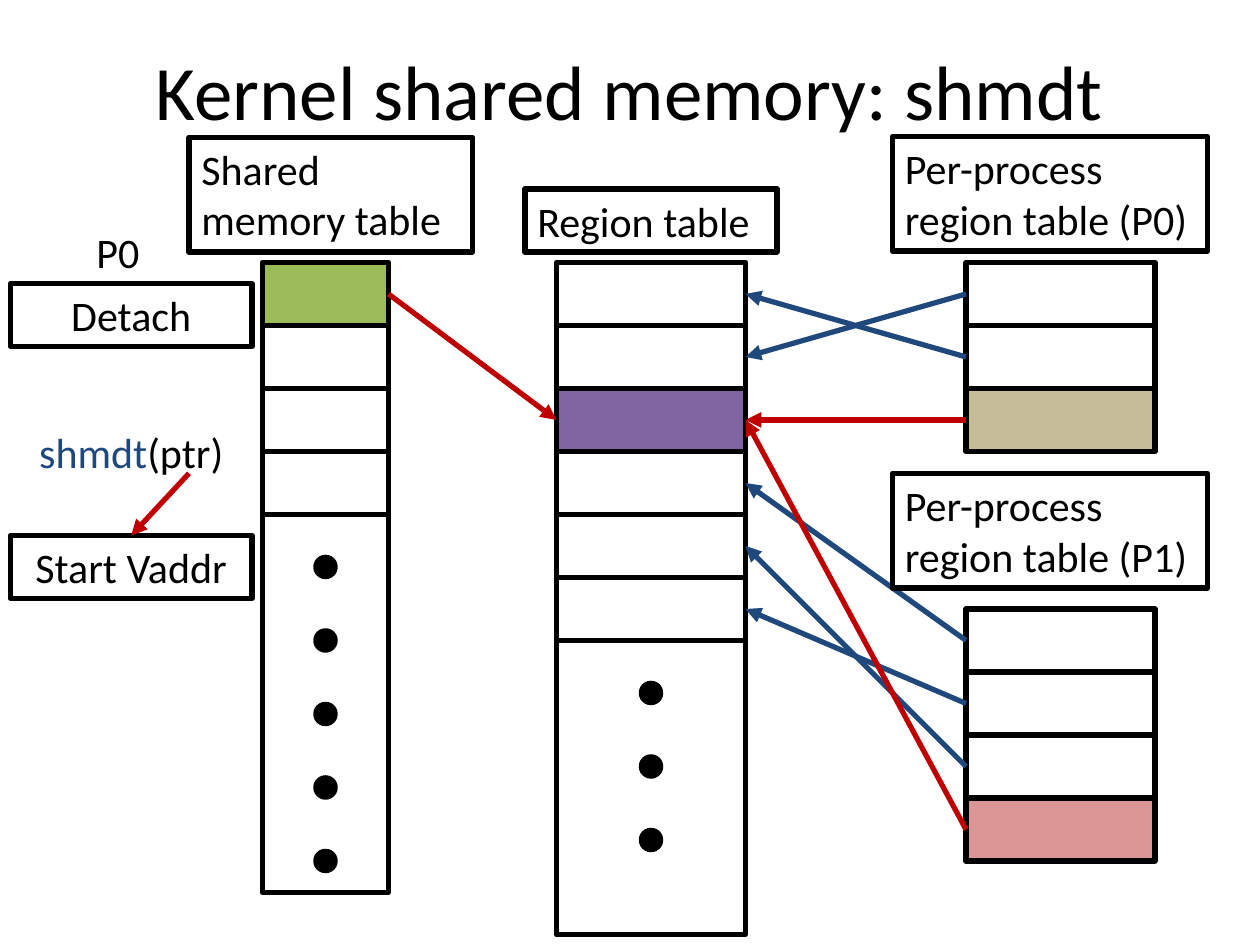
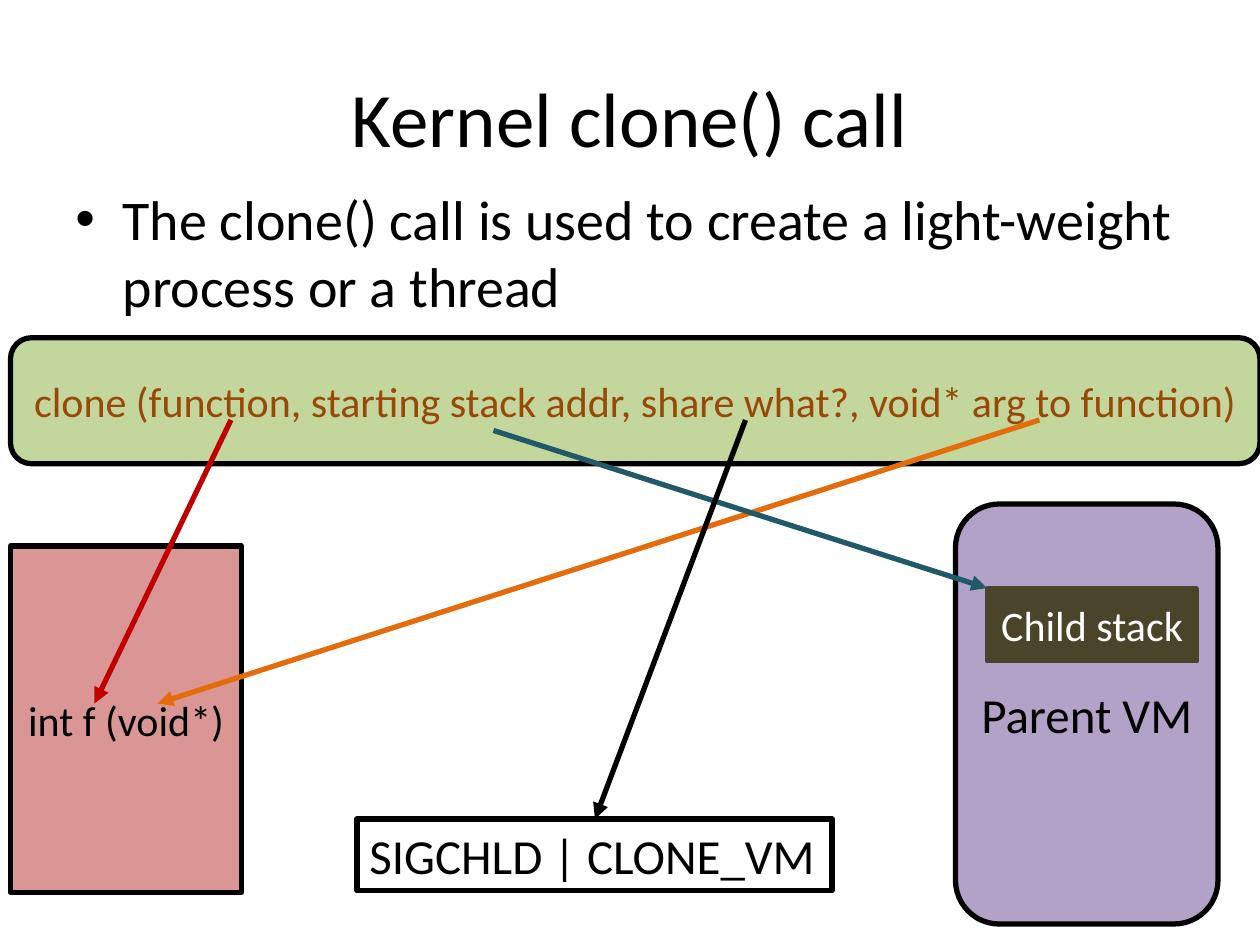
from dataclasses import dataclass
from typing import NamedTuple, Optional

from lxml.etree import SubElement
from pptx import Presentation
from pptx.dml.color import RGBColor
from pptx.enum.shapes import MSO_CONNECTOR, MSO_SHAPE as Kind
from pptx.enum.text import MSO_ANCHOR as Anchor, PP_ALIGN as Align
from pptx.oxml.ns import qn
from pptx.util import Pt


@dataclass(frozen=True)
class Theme:
    font: str = "Calibri"
    title_size: int = 44
    body_size: int = 32
    large_size: int = 28
    label_size: int = 24
    outline: int = 3
    thin_outline: int = 2
    black: str = "000000"
    white: str = "FFFFFF"
    red: str = "C00000"
    blue: str = "1F497D"
    orange: str = "E46C0A"
    teal: str = "215968"
    green: str = "9BBB59"
    pale_green: str = "C3D69B"
    purple: str = "8064A2"
    lilac: str = "B3A2C7"
    tan: str = "C4BD97"
    pink: str = "D99694"
    brown: str = "984807"
    olive: str = "4A452A"


THEME = Theme()
ROW_HEIGHT = 36
DOT_SIZE = 12
DOT_STEP = 42


class Frame(NamedTuple):
    left: float
    top: float
    width: float
    height: float


class Span(NamedTuple):
    text: str
    colour: str = THEME.black


class Arrow(NamedTuple):
    start: tuple[float, float]
    end: tuple[float, float]
    colour: str


class Label(NamedTuple):
    frame: Frame
    text: str
    align: Align = Align.LEFT


@dataclass(frozen=True)
class MemoryTable:
    """Stacked rows, optionally followed by a tall cell that holds dots."""
    left: float
    top: float
    width: float
    rows: int
    marked_row: int
    marked_fill: str
    tail_height: float = 0
    dots: int = 0

    @property
    def right(self) -> float:
        return self.left + self.width

    def row_top(self, row: int) -> float:
        return self.top + row * ROW_HEIGHT

    def row_middle(self, row: int) -> float:
        return self.row_top(row) + ROW_HEIGHT / 2


def rgb(colour: str) -> RGBColor:
    return RGBColor.from_string(colour)


def add_box(page, frame: Frame, *, kind: Kind = Kind.RECTANGLE, fill: Optional[str] = None,
            line: str = THEME.black, weight: float = THEME.outline):
    box = page.shapes.add_shape(kind, *map(Pt, frame))
    box.shadow.inherit = False
    if fill:
        box.fill.solid()
        box.fill.fore_color.rgb = rgb(fill)
    else:
        box.fill.background()
    box.line.color.rgb = rgb(line)
    box.line.width = Pt(weight)
    return box


def add_text_area(page, frame: Frame):
    return page.shapes.add_textbox(*map(Pt, frame))


def write(box, *spans: Span, size: float = THEME.label_size, align: Align = Align.LEFT,
          anchor: Anchor = Anchor.TOP, wrap: bool = True, bullet: bool = False) -> None:
    box.text_frame.word_wrap = wrap
    box.text_frame.vertical_anchor = anchor
    para = box.text_frame.paragraphs[0]
    para.alignment = align
    if bullet:
        add_bullet(para, 27)
    for span in spans:
        run = para.add_run()
        run.text = span.text
        run.font.name = THEME.font
        run.font.size = Pt(size)
        run.font.color.rgb = rgb(span.colour)


def add_bullet(para, indent: float) -> None:
    properties = para._p.get_or_add_pPr()
    properties.set("marL", str(Pt(indent)))
    properties.set("indent", str(-Pt(indent)))
    SubElement(properties, qn("a:buFont")).set("typeface", "Arial")
    SubElement(properties, qn("a:buChar")).set("char", "•")


def add_arrow(page, arrow: Arrow) -> None:
    link = page.shapes.add_connector(
        MSO_CONNECTOR.STRAIGHT, *map(Pt, (*arrow.start, *arrow.end)))
    link.line.color.rgb = rgb(arrow.colour)
    link.line.width = Pt(THEME.outline)
    SubElement(link.line._get_or_add_ln(), qn("a:tailEnd")).set("type", "triangle")
    SubElement(link._element.spPr, qn("a:effectLst"))


def add_title(page, text: str, top: float) -> None:
    write(add_text_area(page, Frame(36, top, 648, 90)), Span(text),
          size=THEME.title_size, align=Align.CENTER, anchor=Anchor.MIDDLE)


def add_memory_table(page, table: MemoryTable) -> None:
    tail_top = table.row_top(table.rows)
    if table.tail_height:
        add_box(page, Frame(table.left, tail_top, table.width, table.tail_height),
                fill=THEME.white)
    # The marked row goes last so that its outline stays whole.
    for row in sorted(range(table.rows), key=lambda row: row == table.marked_row):
        add_box(page, Frame(table.left, table.row_top(row), table.width, ROW_HEIGHT),
                fill=table.marked_fill if row == table.marked_row else THEME.white)
    dot_left = table.left + (table.width - DOT_SIZE) / 2
    for dot in range(table.dots):
        add_box(page, Frame(dot_left, tail_top + 24 + dot * DOT_STEP, DOT_SIZE, DOT_SIZE),
                kind=Kind.OVAL, fill=THEME.black, weight=THEME.thin_outline)


def build_shmdt_slide(page) -> None:
    add_title(page, "Kernel shared memory: shmdt", 6)

    shared = MemoryTable(150, 150, 72, 4, 0, THEME.green, tail_height=216, dots=5)
    regions = MemoryTable(318, 150, 108, 6, 2, THEME.purple, tail_height=168, dots=3)
    process_0 = MemoryTable(552, 150, 108, 3, 2, THEME.tan)
    process_1 = MemoryTable(552, 348, 108, 4, 3, THEME.pink)
    for table in (shared, regions, process_0, process_1):
        add_memory_table(page, table)

    # The row of each process table, and the region row it refers to.
    references = {process_0: ((0, 1), (1, 0), (2, 2)),
                  process_1: ((0, 3), (1, 5), (2, 4), (3, 2))}
    for table, pairs in references.items():
        for row, region in pairs:
            colour = THEME.red if region == regions.marked_row else THEME.blue
            add_arrow(page, Arrow((table.left, table.row_middle(row)),
                                  (regions.right, regions.row_middle(region)), colour))
    add_arrow(page, Arrow((shared.right, shared.row_middle(0)),
                          (regions.left, regions.row_middle(2)), THEME.red))

    labels = (
        Label(Frame(108, 78.5, 162, 65.5), "Shared memory table"),
        Label(Frame(300, 108, 144, 36), "Region table"),
        Label(Frame(510, 78, 180, 65.5), "Per-process region table (P0)"),
        Label(Frame(510, 270.5, 180, 65.5), "Per-process region table (P1)"),
        Label(Frame(6, 162, 138, 36), "Detach", Align.CENTER),
        Label(Frame(6, 306, 138, 36), "Start Vaddr", Align.CENTER),
    )
    for label in labels:
        write(add_box(page, label.frame), Span(label.text), align=label.align)

    write(add_text_area(page, Frame(48, 126, 48, 36)), Span("P0"))
    write(add_text_area(page, Frame(6, 240, 138, 36)),
          Span("shmdt", THEME.blue), Span("(ptr)"), align=Align.CENTER)
    add_arrow(page, Arrow((108, 270.5), (75, 306), THEME.red))


def build_clone_slide(page) -> None:
    add_title(page, "Kernel clone() call", 21.6)
    write(add_text_area(page, Frame(36, 102, 684, 438)),
          Span("The clone() call is used to create a light-weight process or a thread"),
          size=THEME.body_size, bullet=True)

    centred = dict(align=Align.CENTER, anchor=Anchor.MIDDLE)
    call = add_box(page, Frame(6, 193, 714, 72), kind=Kind.ROUNDED_RECTANGLE,
                   fill=THEME.pale_green)
    write(call, Span("clone (function, starting stack addr, share what?, "
                     "void* arg to function)", THEME.brown), **centred)
    function = add_box(page, Frame(6, 312, 132, 198), fill=THEME.pink)
    write(function, Span("int f (void*)"), **centred)
    add_arrow(page, Arrow((132, 240), (54, 402), THEME.red))
    add_arrow(page, Arrow((594, 240), (90, 402), THEME.orange))

    parent = add_box(page, Frame(546, 288, 150, 240), kind=Kind.ROUNDED_RECTANGLE,
                     fill=THEME.lilac)
    write(parent, Span("Parent VM"), size=THEME.large_size, **centred)
    stack = add_box(page, Frame(564, 336, 120, 42), fill=THEME.olive, line=THEME.olive,
                    weight=THEME.thin_outline)
    write(stack, Span("Child stack", THEME.white), **centred)
    add_arrow(page, Arrow((282, 246), (564, 336), THEME.teal))

    flags = add_box(page, Frame(204, 468, 271.5, 41))
    write(flags, Span("SIGCHLD | CLONE_VM"), size=THEME.large_size, wrap=False)
    add_arrow(page, Arrow((426, 240), (340, 468), THEME.black))


def main() -> None:
    deck = Presentation()
    deck.slide_width, deck.slide_height = Pt(720), Pt(540)
    blank = deck.slide_layouts[6]
    for build in (build_shmdt_slide, build_clone_slide):
        build(deck.slides.add_slide(blank))
    deck.save("out.pptx")


if __name__ == "__main__":
    main()
